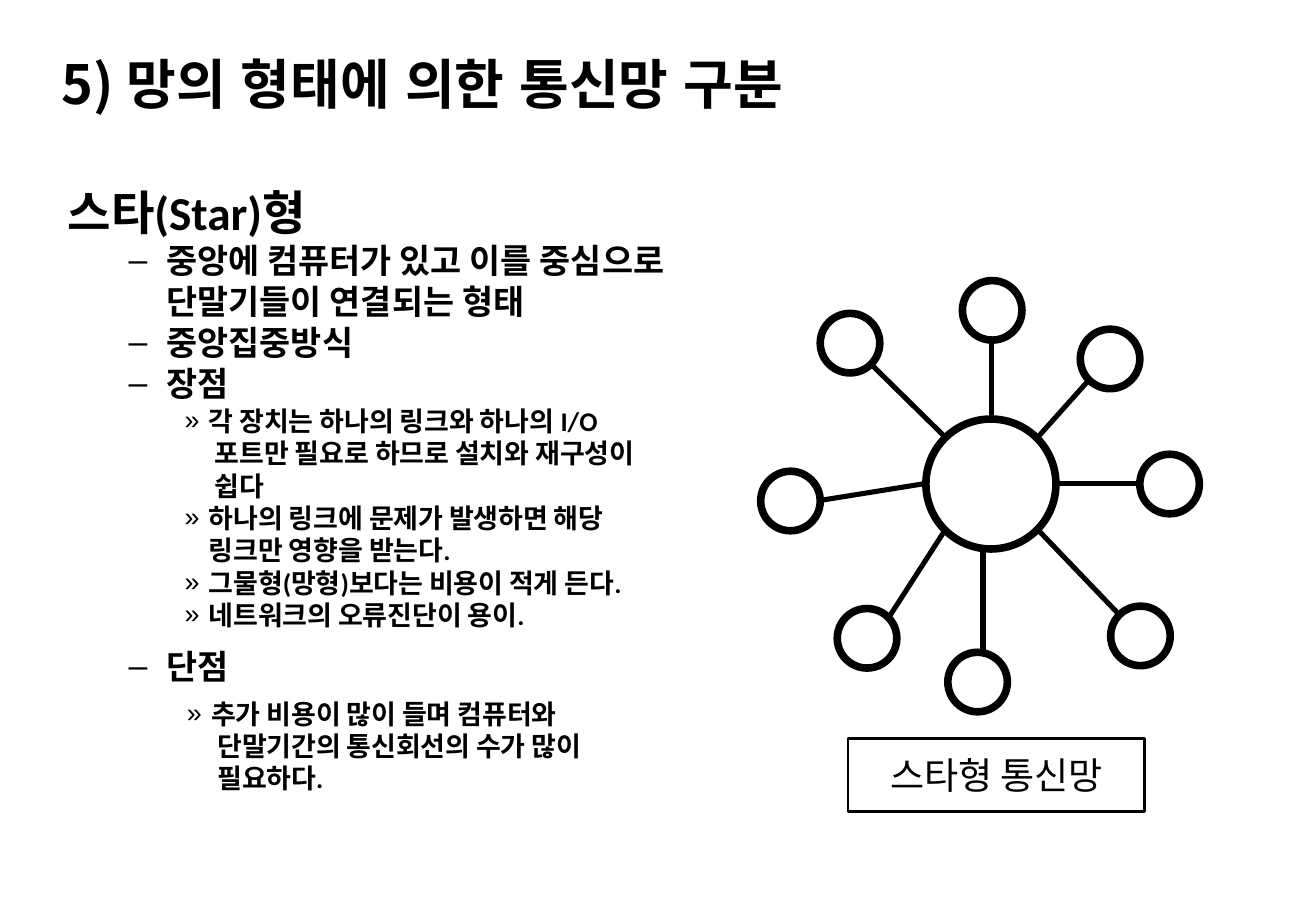
from dataclasses import dataclass

from lxml.etree import SubElement
from pptx import Presentation
from pptx.dml.color import RGBColor
from pptx.enum.shapes import MSO_CONNECTOR as Connector, MSO_SHAPE as Preset
from pptx.enum.text import MSO_ANCHOR as Anchor, PP_ALIGN as Align
from pptx.oxml.ns import qn
from pptx.util import Inches, Pt

COLORS = {"ink": "000000", "paper": "FFFFFF"}
HEADING_FONT, BODY_FONT = "Noto Sans CJK KR", "Calibri"
HUB_SIZE, TERMINAL_SIZE = 1.07, 0.49


@dataclass
class Line:
    """One paragraph; a vertical tab in its text is a line break."""
    text: str
    size: float
    font: str = BODY_FONT
    bold: bool = True
    bullet: str = ""
    margin: float = 0
    hanging: float = 0
    spacing: float = 0
    before: float = 0


@dataclass
class Terminal:
    left: float
    top: float
    spoke_start: tuple[float, float]
    spoke_end: tuple[float, float]


def color(name: str) -> RGBColor:
    return RGBColor.from_string(COLORS[name])


def topic(text: str, before: float = 0) -> Line:
    return Line(text, 20, bullet="–", margin=0.81, hanging=0.31, spacing=24.2, before=before)


def point(text: str) -> Line:
    return Line(text, 16, bullet="»", margin=0.2, hanging=0.2, spacing=19.2)


def continuation(text: str) -> Line:
    return Line(text, 16, margin=0.25, spacing=19.2)


def write_line(paragraph, line: Line) -> None:
    paragraph.text = line.text
    paragraph.space_before = Pt(line.before)
    if line.spacing:
        paragraph.line_spacing = Pt(line.spacing)
    properties = paragraph._p.get_or_add_pPr()
    properties.set("marL", str(Inches(line.margin)))
    properties.set("indent", str(Inches(-line.hanging)))
    if line.bullet:
        SubElement(properties, qn("a:buFont")).set("typeface", "Arial")
        SubElement(properties, qn("a:buChar")).set("char", line.bullet)
    for run in paragraph.runs:
        run.font.size = Pt(line.size)
        run.font.bold = line.bold
        run.font.name = line.font
        run.font.color.rgb = color("ink")
        run_properties = run._r.get_or_add_rPr()
        run_properties.set("lang", "ko-KR")
        SubElement(run_properties, qn("a:ea")).set("typeface", line.font)


def add_text(slide, left: float, top: float, width: float, height: float,
             lines: list[Line], anchor=Anchor.TOP) -> None:
    box = slide.shapes.add_textbox(Inches(left), Inches(top), Inches(width), Inches(height))
    frame = box.text_frame
    frame.word_wrap = True
    frame.vertical_anchor = anchor
    for index, line in enumerate(lines):
        write_line(frame.add_paragraph() if index else frame.paragraphs[0], line)


def add_outlined(slide, preset, left: float, top: float, width: float, height: float,
                 weight: float):
    shape = slide.shapes.add_shape(preset, Inches(left), Inches(top), Inches(width), Inches(height))
    shape.shadow.inherit = False
    shape.fill.solid()
    shape.fill.fore_color.rgb = color("paper")
    shape.line.color.rgb = color("ink")
    shape.line.width = Pt(weight)
    return shape


def add_circle(slide, left: float, top: float, size: float) -> None:
    add_outlined(slide, Preset.OVAL, left, top, size, size, 4.5)


def add_spoke(slide, start: tuple[float, float], end: tuple[float, float]) -> None:
    spoke = slide.shapes.add_connector(Connector.STRAIGHT, *map(Inches, start + end))
    spoke.line.color.rgb = color("ink")
    spoke.line.width = Pt(3)
    SubElement(spoke._element.spPr, qn("a:effectLst"))


presentation = Presentation()
presentation.slide_width = Inches(10.83)
presentation.slide_height = Inches(7.5)
slide = presentation.slides.add_slide(presentation.slide_layouts[6])

# Heading
add_text(slide, 0.41, 0.36, 6.83, 0.64,
         [Line("5) 망의 형태에 의한 통신망 구분", 32, HEADING_FONT)], Anchor.MIDDLE)

# Topics, with room for the advantages before the last one
add_text(slide, 0.46, 1.45, 6.2, 4.27, [
    Line("스타(Star)형", 28, spacing=34.2),
    topic("중앙에 컴퓨터가 있고 이를 중심으로\v단말기들이 연결되는 형태"),
    topic("중앙집중방식"),
    topic("장점"),
    topic("단점", before=143.5),
])

# Advantages
add_text(slide, 1.42, 3.28, 4.71, 2.26, [
    point("각 장치는 하나의 링크와 하나의 I/O"),
    continuation("포트만 필요로 하므로 설치와 재구성이"),
    continuation("쉽다"),
    point("하나의 링크에 문제가 발생하면 해당\v링크만 영향을 받는다."),
    point("그물형(망형)보다는 비용이 적게 든다."),
    point("네트워크의 오류진단이 용이."),
])

# Disadvantages
add_text(slide, 1.44, 5.69, 4.71, 1.18, [
    point("추가 비용이 많이 들며 컴퓨터와"),
    continuation("단말기간의 통신회선의 수가 많이"),
    continuation("필요하다."),
])

# Star network: hub, terminals and their spokes
TERMINALS = [
    Terminal(6.75, 2.58, (7.16, 2.99), (7.78, 3.6)),
    Terminal(7.92, 2.31, (8.16, 2.8), (8.16, 3.45)),
    Terminal(8.89, 2.71, (8.96, 3.13), (8.54, 3.6)),
    Terminal(9.38, 3.74, (9.38, 3.98), (8.7, 3.98)),
    Terminal(9.14, 4.99, (9.21, 5.06), (8.54, 4.36)),
    Terminal(7.8, 5.37, (8.09, 5.37), (8.09, 4.52)),
    Terminal(6.89, 5.01, (7.31, 5.09), (7.78, 4.36)),
    Terminal(6.26, 3.88, (6.75, 4.12), (7.62, 3.98)),
]
add_circle(slide, 7.62, 3.45, HUB_SIZE)
for terminal in TERMINALS:
    add_circle(slide, terminal.left, terminal.top, TERMINAL_SIZE)
for terminal in TERMINALS:
    add_spoke(slide, terminal.spoke_start, terminal.spoke_end)

# Diagram label
label = add_outlined(slide, Preset.RECTANGLE, 6.98, 6.08, 2.44, 0.6, 1.5)
label.text_frame.vertical_anchor = Anchor.MIDDLE
caption = label.text_frame.paragraphs[0]
write_line(caption, Line("스타형 통신망", 22, bold=False))
caption.alignment = Align.CENTER

presentation.save("out.pptx")
